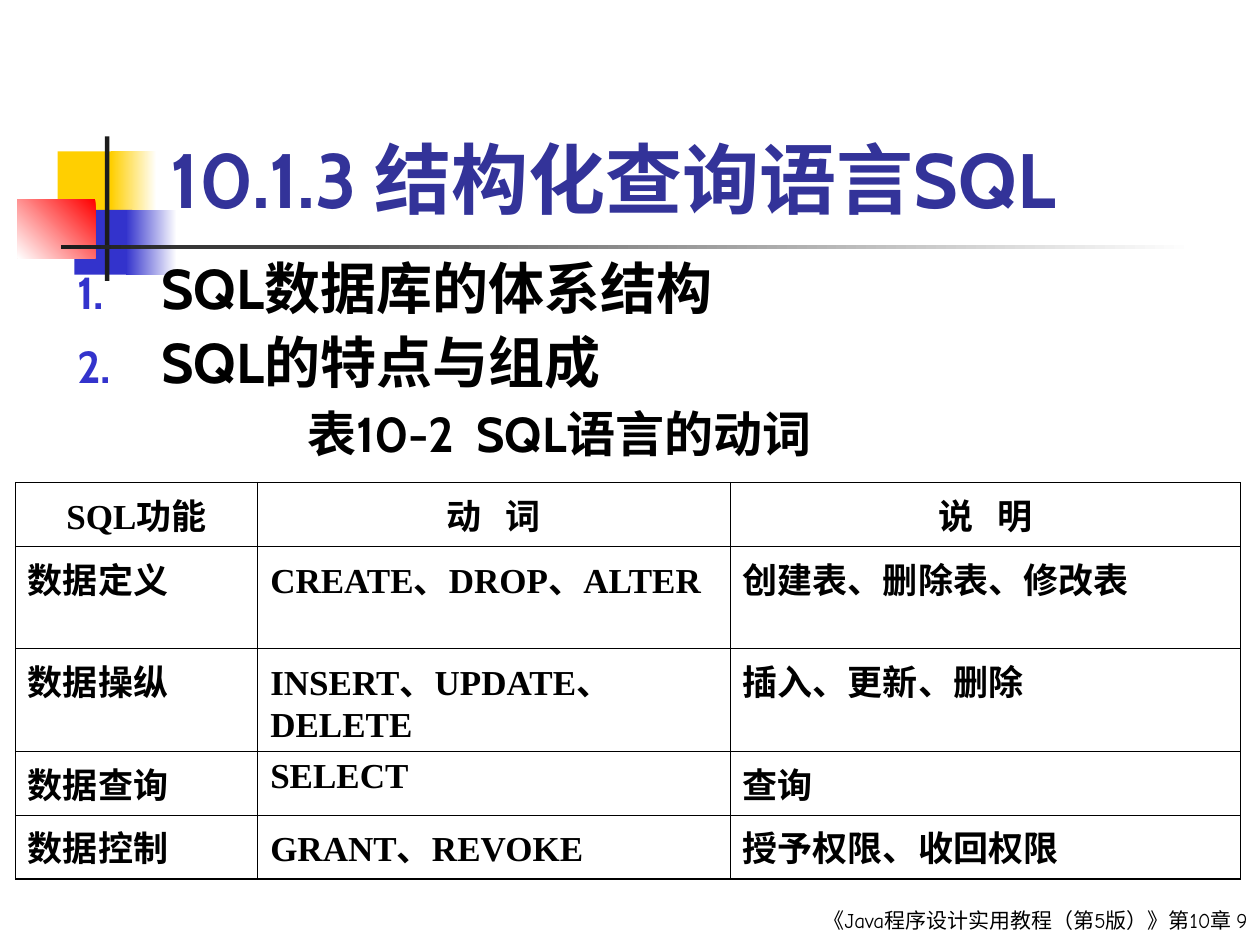
import pptx
import pptx.dml.color
import pptx.enum.shapes
import pptx.enum.text
import pptx.oxml
import pptx.oxml.ns
import pptx.util

Pt = pptx.util.Pt
ALIGN = pptx.enum.text.PP_ALIGN
ANCHOR = pptx.enum.text.MSO_ANCHOR
COLORS = {
    "yellow": "FFCF01", "blue": "3333CC", "red": "FF0000", "dark": "1C1C1C",
    "white": "FFFFFF", "black": "000000", "title": "333399",
}
TABLE_ROWS = [
    ("SQL功能", "动   词", "说   明"),
    ("数据定义", "CREATE、DROP、ALTER", "创建表、删除表、修改表"),
    ("数据操纵", "INSERT、UPDATE、DELETE", "插入、更新、删除"),
    ("数据查询", "SELECT", "查询"),
    ("数据控制", "GRANT、REVOKE", "授予权限、收回权限"),
]


def rgb(name):
    return pptx.dml.color.RGBColor.from_string(COLORS[name])


def add_xml(parent, xml):
    namespace = pptx.oxml.ns.nsdecls("a")
    parent.append(pptx.oxml.parse_xml(xml.replace(" ", f" {namespace} ", 1)))


def write(paragraph, text, font, size, color="black", bold=True):
    paragraph.text = text
    for run in paragraph.runs:
        run.font.name = font
        run.font.size = Pt(size)
        run.font.bold = bold
        run.font.color.rgb = rgb(color)


def add_text_frame(slide, box, anchor=ANCHOR.TOP):
    text_frame = slide.shapes.add_textbox(*map(Pt, box)).text_frame
    text_frame.word_wrap = True
    text_frame.vertical_anchor = anchor
    return text_frame


def add_block(slide, box, colors, angle=0):
    """Rectangle with one colour, or two for a gradient at a clockwise angle."""
    shape = slide.shapes.add_shape(
        pptx.enum.shapes.MSO_SHAPE.RECTANGLE, *map(Pt, box))
    shape.shadow.inherit = False
    shape.line.fill.background()
    if len(colors) == 1:
        shape.fill.solid()
        shape.fill.fore_color.rgb = rgb(colors[0])
        return
    shape.fill.gradient()
    shape.fill.gradient_angle = (360 - angle) % 360
    for stop, color in zip(shape.fill.gradient_stops, colors):
        stop.color.rgb = rgb(color)


def add_ornament(slide, box):
    left, top, width, height = box
    blocks = [
        (23, 8.5, 34.5, 37.5, ["yellow"], 0),
        (53.5, 8.5, 26, 37.5, ["white", "yellow"], 180),
        (32.5, 42, 33, 37, ["blue"], 0),
        (62, 42, 29, 37, ["white", "blue"], 180),
        (0, 36, 44.5, 33.5, ["red", "white"], 135),
        (50, 0, 2.5, 82.5, ["dark"], 0),
        (25, 62, width - 25, 2.5, ["white", "dark"], 180),
    ]
    for x, y, block_width, block_height, colors, angle in blocks:
        add_block(slide, (left + x, top + y, block_width, block_height),
                  colors, angle)


def add_title(slide, box):
    text_frame = add_text_frame(slide, box, ANCHOR.BOTTOM)
    write(text_frame.paragraphs[0], "10.1.3 结构化查询语言SQL", "Cabin", 44, "title")


def add_footer(slide, box):
    paragraph = add_text_frame(slide, box).paragraphs[0]
    paragraph.alignment = ALIGN.RIGHT
    write(paragraph, "《Java程序设计实用教程（第5版）》第10章 9",
          "Comic Neue", 12, bold=False)


def add_body(slide, box):
    text_frame = add_text_frame(slide, box)
    lines = [  # text, size, left margin, numbered
        ("SQL数据库的体系结构", 32, 48, True),
        ("SQL的特点与组成", 32, 48, True),
        ("表10-2  SQL语言的动词", 28, 131.5, False),
    ]
    for index, (text, size, margin, numbered) in enumerate(lines):
        paragraph = text_frame.add_paragraph() if index else text_frame.paragraphs[0]
        write(paragraph, text, "Cabin", size)
        paragraph.line_spacing = 0.9
        paragraph.space_before = Pt(8)
        properties = paragraph._p.get_or_add_pPr()
        properties.set("marL", str(Pt(margin)))
        if numbered:
            properties.set("indent", str(-Pt(margin)))
            add_xml(properties,
                    f'<a:buClr ><a:srgbClr val="{COLORS["blue"]}"/></a:buClr>')
            add_xml(properties, '<a:buSzPct val="80000"/>')
            add_xml(properties, '<a:buAutoNum type="arabicPeriod"/>')


def set_borders(cell, widths):
    """Draw each named side (L, R, T, B) at its width in points."""
    properties = cell._tc.get_or_add_tcPr()
    for index, (side, width) in enumerate(widths.items()):
        line = pptx.oxml.parse_xml(
            f'<a:ln{side} {pptx.oxml.ns.nsdecls("a")} w="{Pt(width)}">'
            f'<a:solidFill><a:srgbClr val="{COLORS["black"]}"/></a:solidFill>'
            f'</a:ln{side}>')
        properties.insert(index, line)


def add_verb_table(slide, box):
    column_widths = [138.5, 270, 291.5]
    row_heights = [36.5, 58.5, 58.5, 36.5, 36.5]
    table = slide.shapes.add_table(
        len(TABLE_ROWS), len(column_widths), *map(Pt, box)).table
    table.first_row = table.horz_banding = False
    for column, width in zip(table.columns, column_widths):
        column.width = Pt(width)
    for row, height in zip(table.rows, row_heights):
        row.height = Pt(height)

    last_row = len(TABLE_ROWS) - 1
    for row_index, texts in enumerate(TABLE_ROWS):
        for column_index, text in enumerate(texts):
            cell = table.cell(row_index, column_index)
            cell.fill.background()
            paragraph = cell.text_frame.paragraphs[0]
            write(paragraph, text, "Times New Roman", 20)
            paragraph.alignment = ALIGN.LEFT if row_index else ALIGN.CENTER
            set_borders(cell, {
                "L": 0.45 if column_index else 0.34,
                "R": 0.34 if column_index == 2 else 0.45,
                "T": 0.96 if row_index < 2 else 0.45,
                "B": 0.96 if row_index in (0, last_row) else 0.45,
            })


def main():
    presentation = pptx.Presentation()
    presentation.slide_width = Pt(720)
    presentation.slide_height = Pt(540)
    slide = presentation.slides.add_slide(presentation.slide_layouts[6])
    add_ornament(slide, (10, 78, 672.5, 82.5))
    add_footer(slide, (439, 515, 281, 25))
    add_title(slide, (90.5, 65.5, 613.5, 66))
    add_body(slide, (37, 145.5, 612, 136))
    add_verb_table(slide, (8.75, 275.75, 700, 226.5))
    presentation.save("out.pptx")


if __name__ == "__main__":
    main()
